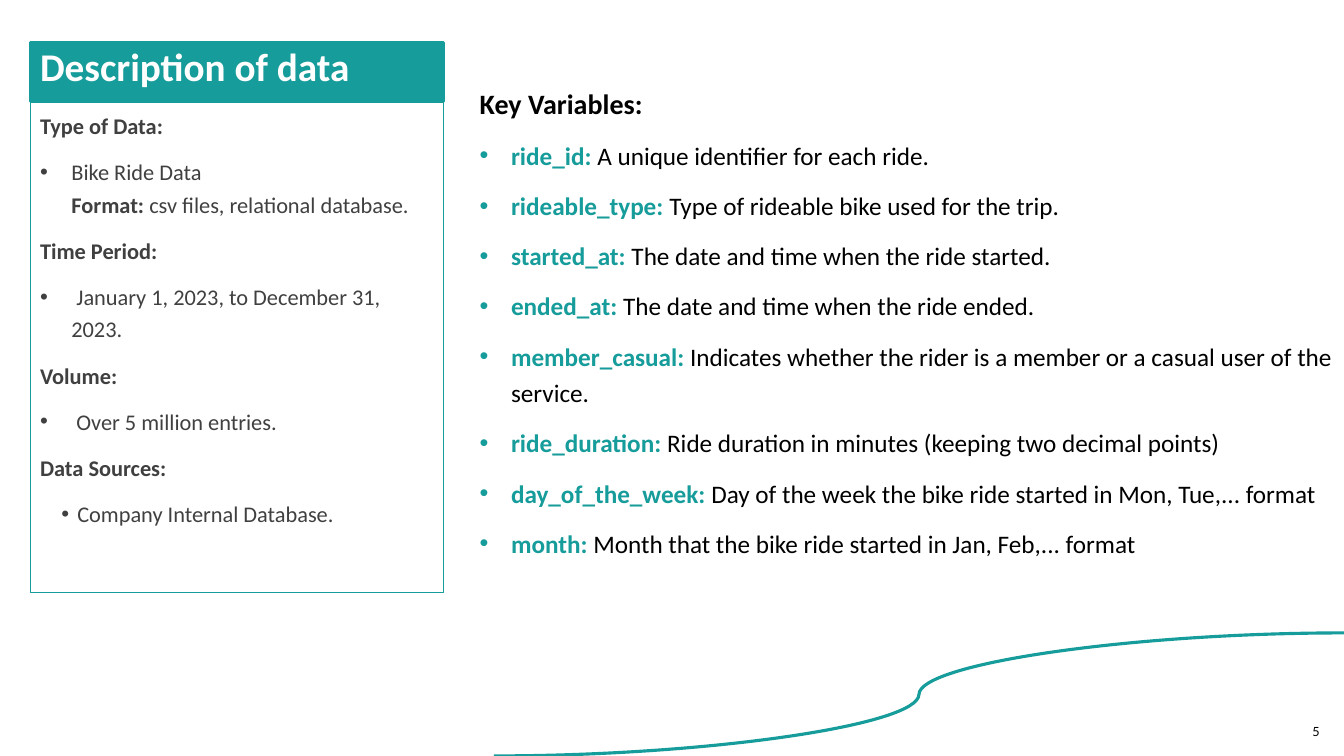
import pptx
import pptx.dml.color
import pptx.enum.shapes
import pptx.enum.text
import pptx.oxml.ns
import pptx.util
from lxml import etree

Cm = pptx.util.Cm
Pt = pptx.util.Pt
Align = pptx.enum.text.PP_ALIGN
Anchor = pptx.enum.text.MSO_ANCHOR
qn = pptx.oxml.ns.qn

HUES = {"teal": "169C9A", "gray": "404040", "black": "000000", "white": "FFFFFF"}
WIDE, HIGH = 33.87, 19.05
HANG = (0.79, 0.79)
DEEP = (0.94, 0.4)

FACTS = [
    (None, [("Type of Data:", True)]),
    (HANG, [("Bike Ride Data\n", False), ("Format: ", True),
            ("csv files, relational database.", False)]),
    (None, [("Time Period:", True)]),
    (HANG, [(" January 1, 2023, to December 31, 2023.", False)]),
    (None, [("Volume:", True)]),
    (HANG, [(" Over 5 million entries.", False)]),
    (None, [("Data Sources:", True)]),
    (DEEP, [("Company Internal Database.", False)]),
]

FIELDS = [
    ("ride_id", "A unique identifier for each ride."),
    ("rideable_type", "Type of rideable bike used for the trip."),
    ("started_at", "The date and time when the ride started."),
    ("ended_at", "The date and time when the ride ended."),
    ("member_casual", "Indicates whether the rider is a member or a casual user of the service."),
    ("ride_duration", "Ride duration in minutes (keeping two decimal points)"),
    ("day_of_the_week", "Day of the week the bike ride started in Mon, Tue,... format"),
    ("month", "Month that the bike ride started in Jan, Feb,... format"),
]


def hue(name):
    return pptx.dml.color.RGBColor.from_string(HUES[name])


def style(font, bold, tint):
    font.bold = bold
    font.color.rgb = hue(tint)


def bullet(para, indent, tint):
    left, hang = indent
    props = para._p.get_or_add_pPr()
    props.set("marL", str(Cm(left)))
    props.set("indent", str(-Cm(hang)))
    color = etree.SubElement(props, qn("a:buClr"))
    etree.SubElement(color, qn("a:srgbClr")).set("val", HUES[tint])
    etree.SubElement(props, qn("a:buFont")).set("typeface", "Arial")
    etree.SubElement(props, qn("a:buChar")).set("char", "•")


def write(frame, runs, size, face="Calibri", indent=None, lead=1.2):
    first = not frame.paragraphs[0].runs
    para = frame.paragraphs[0] if first else frame.add_paragraph()
    if indent:
        bullet(para, indent, runs[0][2])
    para.line_spacing = lead
    para.space_before = Pt(0 if first else 10)
    para.font.name = face
    para.font.size = Pt(size)
    if len(runs) == 1:
        style(para.font, *runs[0][1:])
    for text, bold, tint in runs:
        run = para.add_run()
        run.text = text.rstrip("\n")
        if len(runs) > 1:
            style(run.font, bold, tint)
        if text.endswith("\n"):
            para.add_line_break()
    return para


def block(slide, left, top, width, height, line, fill=None):
    shape = slide.shapes.add_shape(
        pptx.enum.shapes.MSO_SHAPE.RECTANGLE, Cm(left), Cm(top), Cm(width), Cm(height))
    shape.shadow.inherit = False
    if fill:
        shape.fill.solid()
        shape.fill.fore_color.rgb = hue(fill)
    else:
        shape.fill.background()
    shape.line.color.rgb = hue("teal")
    shape.line.width = Pt(line)
    frame = shape.text_frame
    frame.word_wrap = True
    frame.vertical_anchor = Anchor.TOP
    return frame


def label(slide, left, top, width, height):
    frame = slide.shapes.add_textbox(Cm(left), Cm(top), Cm(width), Cm(height)).text_frame
    frame.word_wrap = True
    return frame


def panel(slide, left, top, width, height, head=1.5):
    title = block(slide, left, top, width, head, 2.25, "teal")
    write(title, [("Description of data", True, "white")], 28, lead=0.9).alignment = Align.LEFT
    body = block(slide, left, top + head, width, height - head, 0.75)
    for indent, runs in FACTS:
        runs = [(text, bold, "gray") for text, bold in runs]
        write(body, runs, 16, indent=indent).alignment = Align.LEFT


def fields(slide, left, top, width, height):
    frame = label(slide, left, top, width, height)
    write(frame, [("Key Variables:", True, "black")], 20)
    for name, note in FIELDS:
        write(frame, [(name + ": ", True, "teal"), (note, False, "black")], 18, indent=HANG)


def wave(slide, left, top, width, height):
    curve = slide.shapes.add_connector(
        pptx.enum.shapes.MSO_CONNECTOR.CURVE,
        Cm(left), Cm(top + height), Cm(left + width), Cm(top))
    curve.line.color.rgb = hue("teal")
    curve.line.width = Pt(2.25)
    etree.SubElement(curve._element.spPr, qn("a:effectLst"))


def number(slide, left, top, width, height):
    frame = label(slide, left, top, width, height)
    frame.vertical_anchor = Anchor.MIDDLE
    write(frame, [("5", False, "black")], 9, face="Lato", lead=1.0).alignment = Align.RIGHT


def main():
    deck = pptx.Presentation()
    deck.slide_width, deck.slide_height = Cm(WIDE), Cm(HIGH)
    slide = deck.slides.add_slide(deck.slide_layouts[6])
    panel(slide, 0.76, 1.07, 10.41, 13.87)
    number(slide, 32.31, 17.93, 1.2, 1.02)
    wave(slide, 12.45, 15.95, WIDE - 12.45, HIGH - 15.95)
    fields(slide, 11.84, 1.88, 22.02, 13.11)
    deck.save("out.pptx")


if __name__ == "__main__":
    main()
